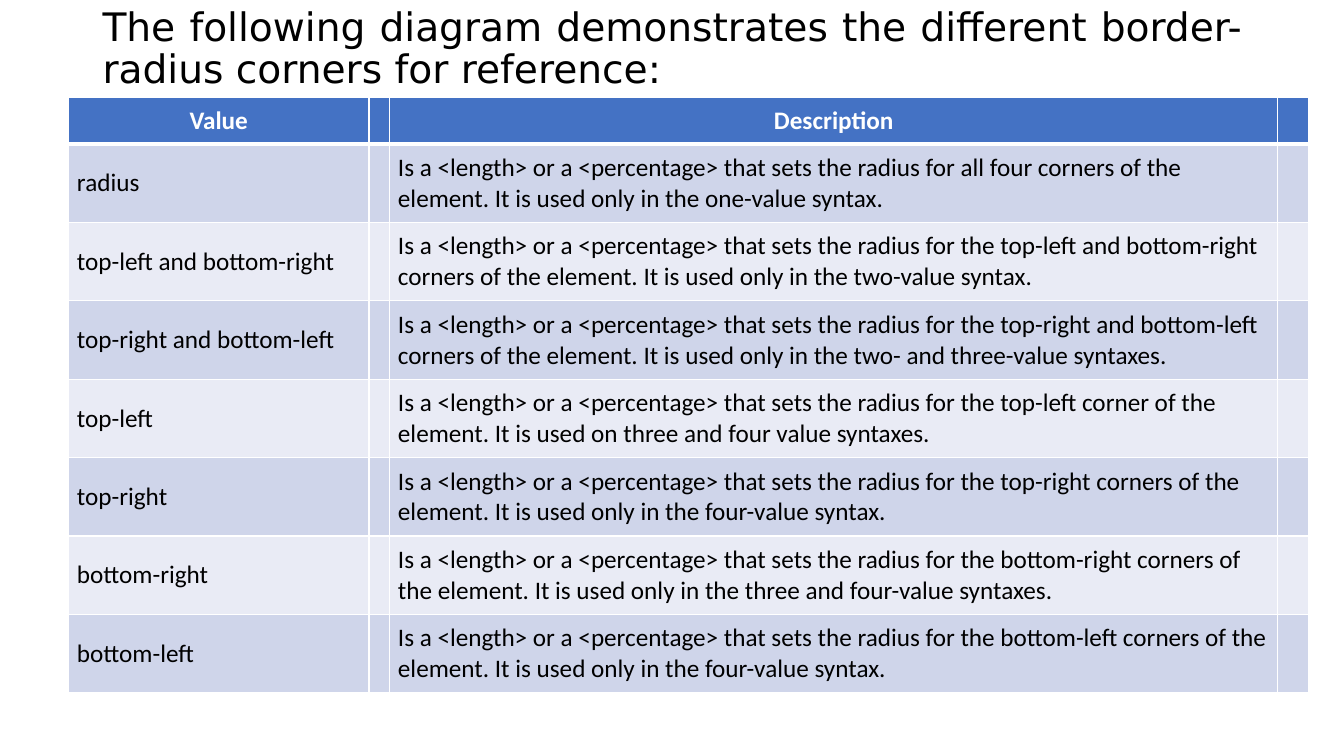
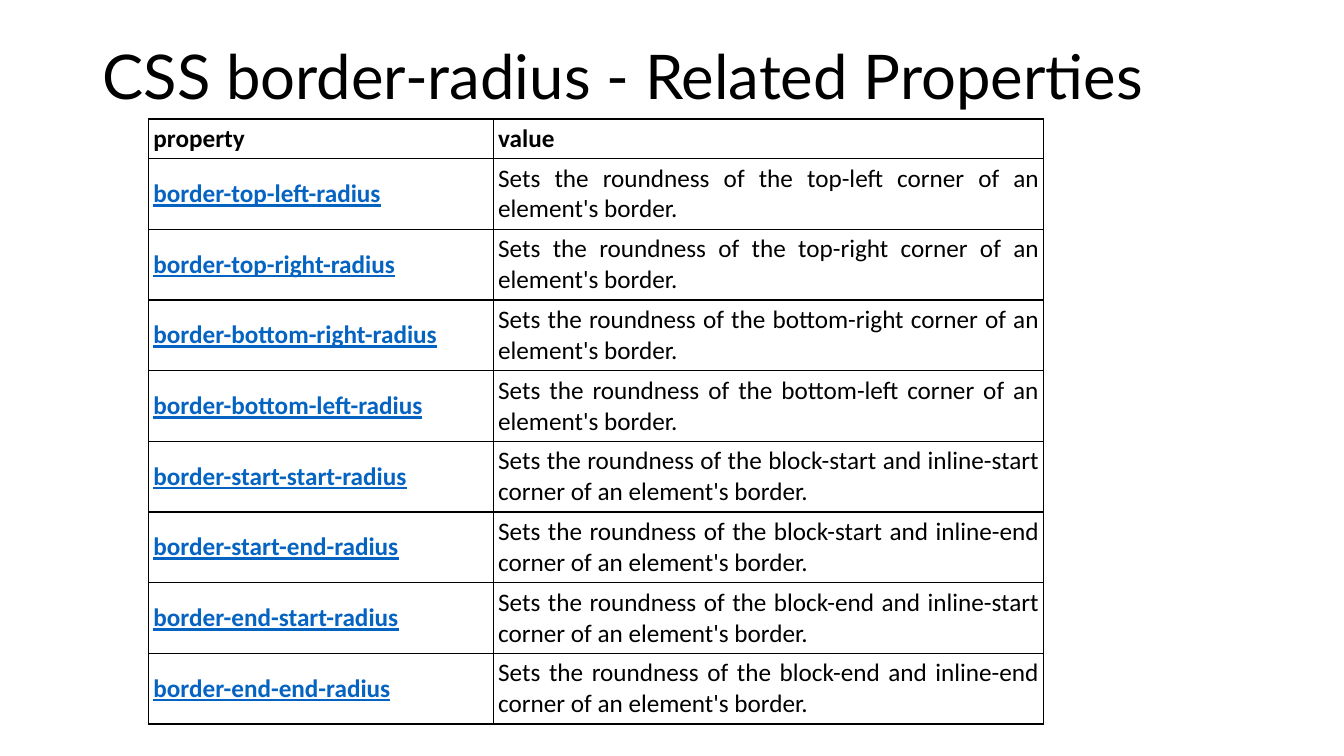
from dataclasses import dataclass

from lxml import etree
from pptx import Presentation
from pptx.dml.color import RGBColor
from pptx.enum.text import MSO_ANCHOR, PP_ALIGN
from pptx.oxml.ns import qn
from pptx.util import Pt

LEFT, CENTER, JUSTIFY = PP_ALIGN.LEFT, PP_ALIGN.CENTER, PP_ALIGN.JUSTIFY
MIDDLE = MSO_ANCHOR.MIDDLE


@dataclass(frozen=True)
class Theme:
    black: str = "000000"
    white: str = "FFFFFF"
    header: str = "4472C4"
    band_dark: str = "CFD5EA"
    band_light: str = "E9EBF5"
    link: str = "0563C1"
    body_font: str = "Calibri"
    body_size: float = 18
    rule: float = 1
    header_rule: float = 3


THEME = Theme()

CORNERS_TITLE = ("The following diagram demonstrates the different "
                 "border-radius corners for reference:")
CORNERS_HEADER = ("Value", "Description")
CORNERS_LEAD = "Is a <length> or a <percentage> that sets the radius for "
CORNERS = [
    ("radius",
     "all four corners of the element. It is used only in the one-value syntax."),
    ("top-left and bottom-right",
     "the top-left and bottom-right corners of the element. "
     "It is used only in the two-value syntax."),
    ("top-right and bottom-left",
     "the top-right and bottom-left corners of the element. "
     "It is used only in the two- and three-value syntaxes."),
    ("top-left",
     "the top-left corner of the element. It is used on three and four value syntaxes."),
    ("top-right",
     "the top-right corners of the element. It is used only in the four-value syntax."),
    ("bottom-right",
     "the bottom-right corners of the element. "
     "It is used only in the three and four-value syntaxes."),
    ("bottom-left",
     "the bottom-left corners of the element. It is used only in the four-value syntax."),
]

RELATED_TITLE = "CSS border-radius - Related Properties"
RELATED_HEADER = ("property", "value")
RELATED = [
    ("border-top-left-radius", "top-left"),
    ("border-top-right-radius", "top-right"),
    ("border-bottom-right-radius", "bottom-right"),
    ("border-bottom-left-radius", "bottom-left"),
    ("border-start-start-radius", "block-start and inline-start"),
    ("border-start-end-radius", "block-start and inline-end"),
    ("border-end-start-radius", "block-end and inline-start"),
    ("border-end-end-radius", "block-end and inline-end"),
]


def style_paragraph(p, font, size, color, align, bold=False, underline=False):
    p.alignment = align
    for r in p.runs:
        r.font.name, r.font.size = font, Pt(size)
        r.font.color.rgb = RGBColor.from_string(color)
        r.font.bold, r.font.underline = bold, underline


def add_title(slide, text, top, height, font, size, align):
    box = slide.shapes.add_textbox(Pt(66.2), Pt(top), Pt(828), Pt(height))
    tf = box.text_frame
    tf.word_wrap, tf.vertical_anchor = True, MIDDLE
    tf.text = text
    p = tf.paragraphs[0]
    p.line_spacing = 0.9
    style_paragraph(p, font, size, THEME.black, align)


def add_grid(slide, left, top, widths, heights):
    """Add a plain table without any style banding."""
    frame = slide.shapes.add_table(len(heights), len(widths), Pt(left), Pt(top),
                                   Pt(sum(widths)), Pt(sum(heights)))
    table = frame.table
    table.first_row = table.horz_banding = False
    for column, width in zip(table.columns, widths):
        column.width = Pt(width)
    for row, height in zip(table.rows, heights):
        row.height = Pt(height)
    return table


def set_borders(cell, color, top=THEME.rule, bottom=THEME.rule):
    tc_pr = cell._tc.get_or_add_tcPr()
    sides = {"L": THEME.rule, "R": THEME.rule, "T": top, "B": bottom}
    for side, width in sides.items():
        ln = etree.SubElement(tc_pr, qn(f"a:ln{side}"), w=str(Pt(width)))
        fill = etree.SubElement(ln, qn("a:solidFill"))
        etree.SubElement(fill, qn("a:srgbClr"), val=color)


def fill_cell(cell, text, inset, fill, color, align, bold=False, underline=False):
    cell.margin_left = cell.margin_right = Pt(inset)
    cell.margin_top = cell.margin_bottom = Pt(inset)
    cell.vertical_anchor = MIDDLE
    if fill:
        cell.fill.solid()
        cell.fill.fore_color.rgb = RGBColor.from_string(fill)
    else:
        cell.fill.background()
    cell.text = text
    style_paragraph(cell.text_frame.paragraphs[0], THEME.body_font, THEME.body_size,
                    color, align, bold, underline)


def build_corners(slide):
    add_title(slide, CORNERS_TITLE, 0, 71.3, "DejaVu Sans", 28, JUSTIFY)
    rows = [CORNERS_HEADER] + [(name, CORNERS_LEAD + rest) for name, rest in CORNERS]
    table = add_grid(slide, 49, 69.3, (214.5, 14.5, 634.5, 22),
                     [33.3] + [56] * len(CORNERS))
    for i, (value, description) in enumerate(rows):
        head = i == 0
        fill = THEME.header if head else (THEME.band_light, THEME.band_dark)[i % 2]
        for j, text in enumerate((value, "", description, "")):
            cell = table.cell(i, j)
            set_borders(cell, THEME.white,
                        top=THEME.header_rule if i == 1 else THEME.rule,
                        bottom=THEME.header_rule if head else THEME.rule)
            fill_cell(cell, text, 6, fill, THEME.white if head else THEME.black,
                      CENTER if head else LEFT, bold=head)


def build_related(slide):
    add_title(slide, RELATED_TITLE, 28.8, 56.1, "Lato", 44, LEFT)
    rows = [RELATED_HEADER] + [
        (name, f"Sets the roundness of the {corner} corner of an element's border.")
        for name, corner in RELATED]
    table = add_grid(slide, 106.3, 85, (246.3, 393), [28.3] + [50.5] * len(RELATED))
    for i, row in enumerate(rows):
        for j, text in enumerate(row):
            cell = table.cell(i, j)
            link = i > 0 and j == 0
            set_borders(cell, THEME.black)
            fill_cell(cell, text, 3.3, None, THEME.link if link else THEME.black,
                      JUSTIFY, bold=link or i == 0, underline=link)


def main():
    prs = Presentation()
    prs.slide_width, prs.slide_height = Pt(960), Pt(540)
    for build in (build_corners, build_related):
        build(prs.slides.add_slide(prs.slide_layouts[6]))
    prs.save("out.pptx")


if __name__ == "__main__":
    main()
